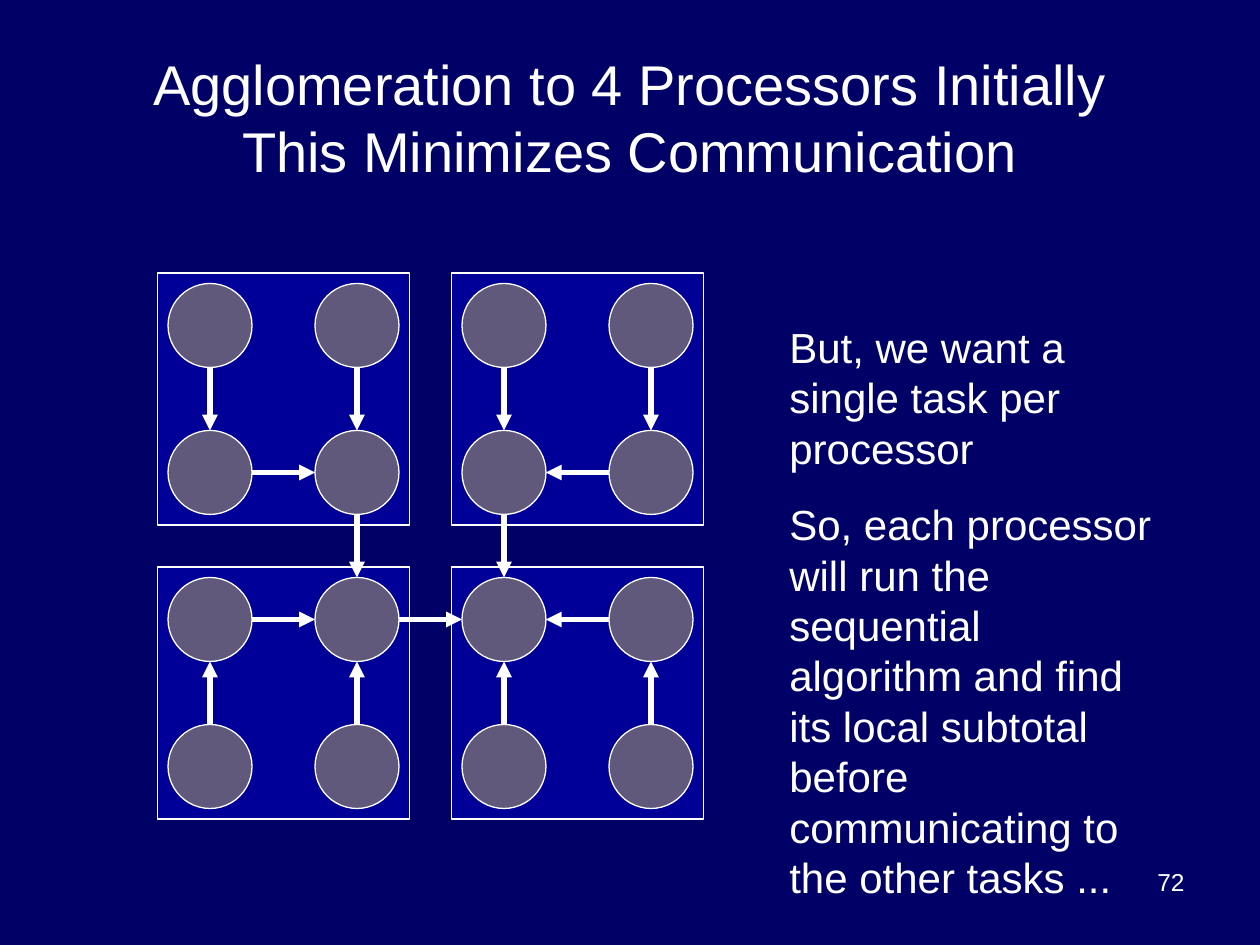
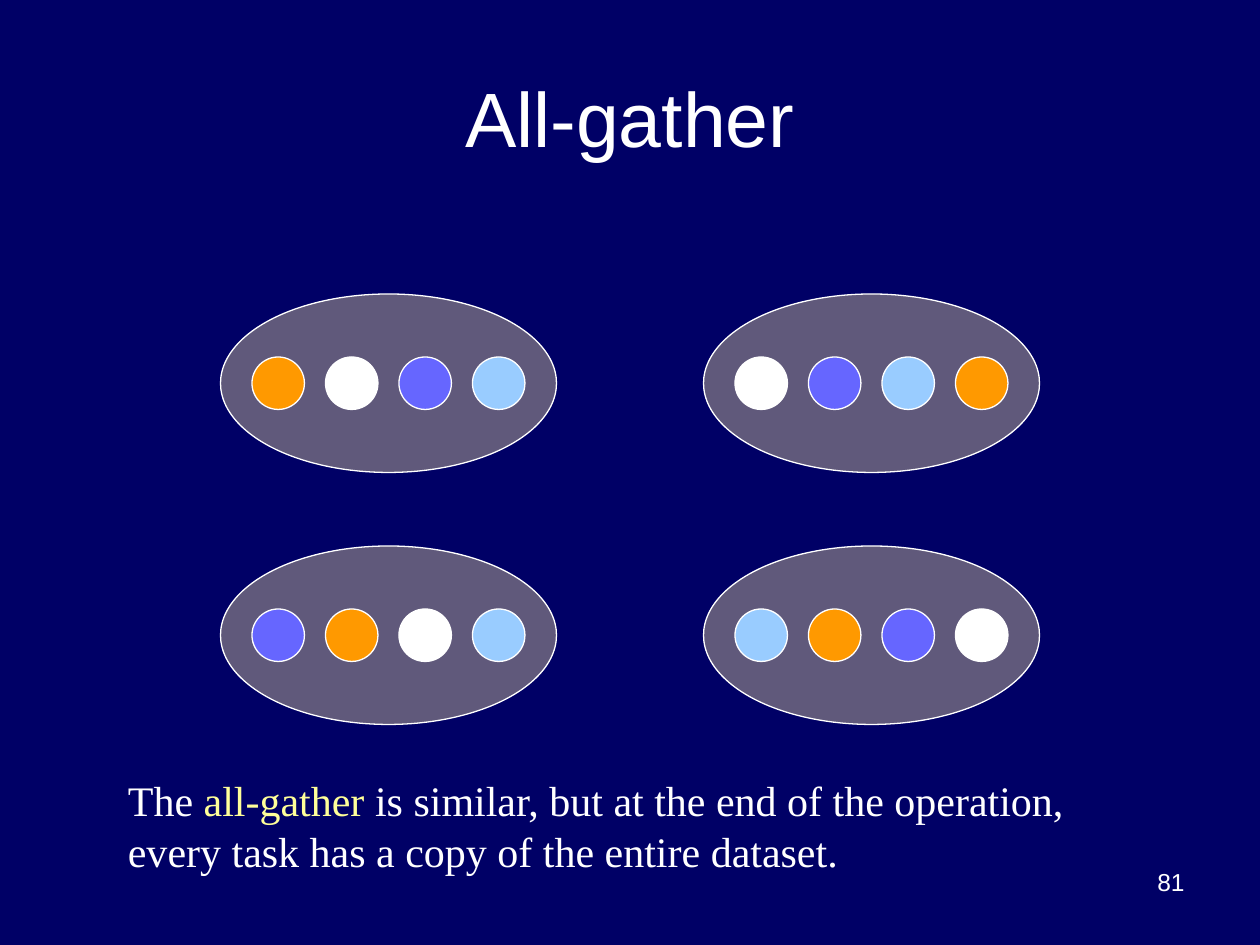
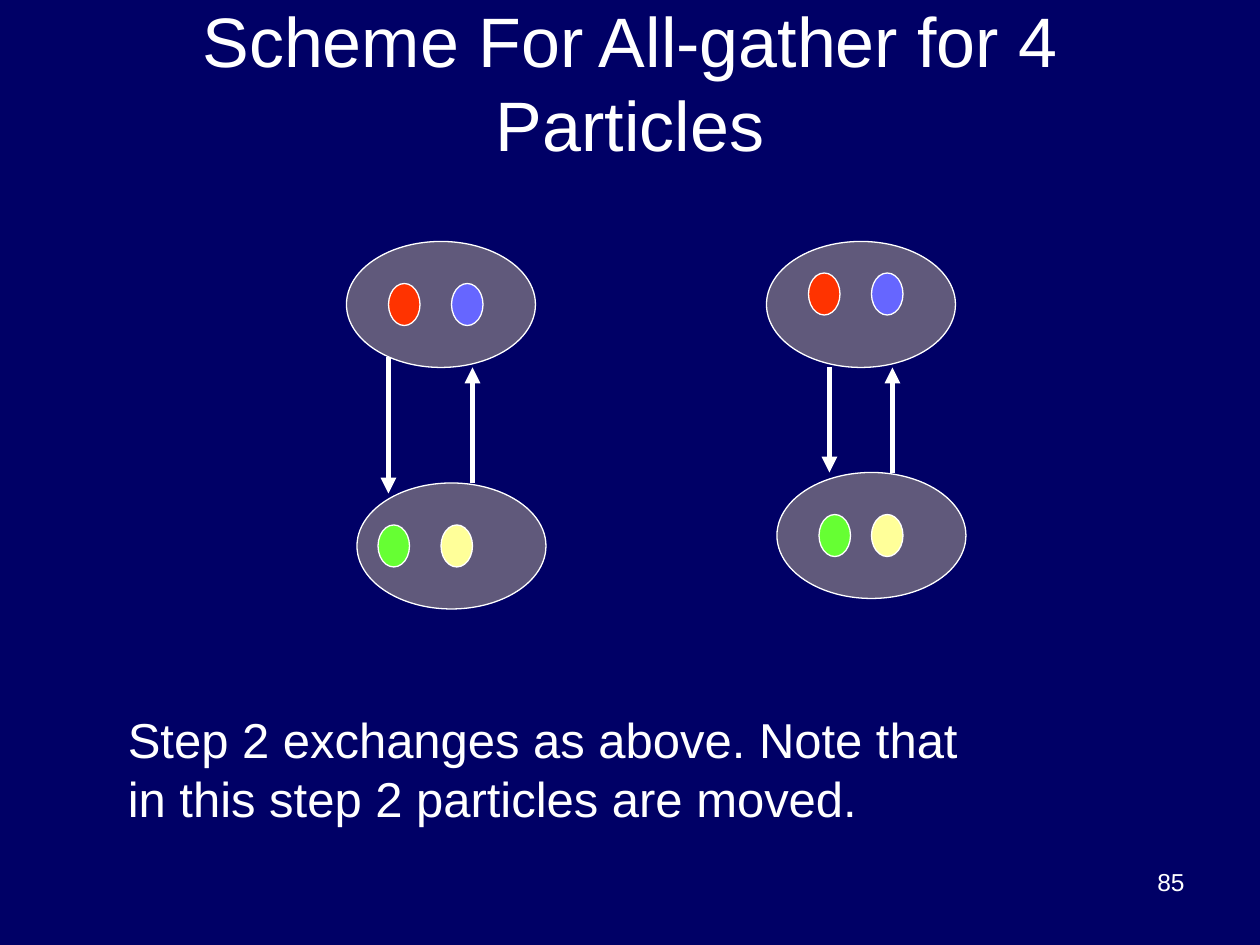
from dataclasses import dataclass
from typing import Any, NamedTuple

from lxml import etree
from pptx import Presentation
from pptx import util as u
from pptx.dml.color import RGBColor
from pptx.enum import shapes, text
from pptx.oxml.ns import qn

NAVY, BLUE, GREY, WHITE = "000066", "000099", "60597B", "FFFFFF"
ORANGE, VIOLET, SKY = "FF9900", "6666FF", "99CCFF"
RED, GREEN, YELLOW = "FF3300", "66FF33", "FFFF99"
OVAL = shapes.MSO_SHAPE.OVAL
RECTANGLE = shapes.MSO_SHAPE.RECTANGLE


class Area(NamedTuple):
    """Left, top, width and height in grid units."""
    left: float
    top: float
    width: float
    height: float


class Span(NamedTuple):
    words: str
    color: str = WHITE


class Arrow(NamedTuple):
    start: tuple[float, float]
    end: tuple[float, float]
    weight: float = 3


@dataclass
class Shape:
    area: Area
    fill: str
    kind: Any = OVAL


@dataclass
class Label:
    area: Area
    paragraphs: list[list[Span]]
    size: float
    font: str = "Arial"
    align: Any = text.PP_ALIGN.LEFT
    anchor: Any = text.MSO_ANCHOR.TOP
    space_before: float = 0


def grid(units: float) -> int:
    """Turn grid units, twelve to the inch, into a length."""
    return u.Cm(units * 2.54 / 12)


def rgb(color: str) -> RGBColor:
    return RGBColor.from_string(color)


def set_all(target: Any, values: dict[str, Any]) -> None:
    for name, value in values.items():
        setattr(target, name, value)


def draw_shape(page: Any, item: Shape) -> None:
    shape = page.shapes.add_shape(item.kind, *map(grid, item.area))
    shape.shadow.inherit = False
    shape.fill.solid()
    shape.fill.fore_color.rgb = rgb(item.fill)
    shape.line.color.rgb = rgb(WHITE)
    shape.line.width = u.Pt(0.75)


def draw_arrow(page: Any, arrow: Arrow) -> None:
    line = page.shapes.add_connector(
        shapes.MSO_CONNECTOR.STRAIGHT, *map(grid, arrow.start + arrow.end))
    line.line.color.rgb = rgb(WHITE)
    line.line.width = u.Pt(arrow.weight)
    etree.SubElement(line.line._get_or_add_ln(), qn("a:tailEnd"), type="triangle")
    etree.SubElement(line._element.spPr, qn("a:effectLst"))


def draw_label(page: Any, label: Label) -> None:
    box = page.shapes.add_textbox(*map(grid, label.area))
    frame = box.text_frame
    set_all(frame, {"word_wrap": True, "vertical_anchor": label.anchor})
    for index, spans in enumerate(label.paragraphs):
        para = frame.add_paragraph() if index else frame.paragraphs[0]
        para.alignment = label.align
        if index:
            para.space_before = u.Pt(label.space_before)
        for span in spans:
            for number, words in enumerate(span.words.split("\n")):
                if number:
                    para.add_line_break()
                run = para.add_run()
                run.text = words
                set_all(run.font, {"name": label.font, "size": u.Pt(label.size)})
                run.font.color.rgb = rgb(span.color)


def add_page(deck: Any, title: str, size: float, number: int,
             title_height: float = 15) -> Any:
    """Add a slide with the shared background, title and page number."""
    page = deck.slides.add_slide(deck.slide_layouts[6])
    page.background.fill.solid()
    page.background.fill.fore_color.rgb = rgb(NAVY)
    draw_label(page, Label(Area(6, 3.6, 108, title_height), [[Span(title)]], size,
                           align=text.PP_ALIGN.CENTER,
                           anchor=text.MSO_ANCHOR.MIDDLE))
    draw_label(page, Label(Area(86, 82, 28, 6.2), [[Span(str(number))]], 14,
                           align=text.PP_ALIGN.RIGHT))
    return page


def task_arrow(source: tuple[int, int], target: tuple[int, int]) -> Arrow:
    """Join the facing edges of two neighbouring tasks, given as column and row."""
    step = [after - before for before, after in zip(source, target)]
    centers = [[20 + 14 * column, 31 + 14 * row] for column, row in (source, target)]
    start = tuple(center + 4 * move for center, move in zip(centers[0], step))
    end = tuple(center - 4 * move for center, move in zip(centers[1], step))
    return Arrow(start, end)


def build_agglomeration(deck: Any) -> None:
    page = add_page(deck, "Agglomeration to 4 Processors Initially\n"
                          "This Minimizes Communication", 32, 72)
    for top in (26, 54):
        for left in (15, 43):
            draw_shape(page, Shape(Area(left, top, 24, 24), BLUE, RECTANGLE))
    for row in range(4):
        for column in range(4):
            area = Area(16 + 14 * column, 27 + 14 * row, 8, 8)
            draw_shape(page, Shape(area, GREY))
    links = [((1, 2), (2, 2))]
    for column in range(4):
        links += [((column, 0), (column, 1)), ((column, 3), (column, 2))]
    for row in (1, 2):
        links += [((0, row), (1, row)), ((3, row), (2, row))]
    for column in (1, 2):
        links.append(((column, 1), (column, 2)))
    for source, target in links:
        draw_arrow(page, task_arrow(source, target))
    draw_label(page, Label(Area(74, 30, 37, 56.5), [
        [Span("But, we want a single task per processor")],
        [Span("So, each processor will run the sequential algorithm and find its "
              "local subtotal before communicating to the other tasks ...")],
    ], 24, space_before=15))


def build_all_gather(deck: Any) -> None:
    page = add_page(deck, "All-gather", 44, 81)
    tasks = {
        (21, 28): (ORANGE, WHITE, VIOLET, SKY),
        (67, 28): (WHITE, VIOLET, SKY, ORANGE),
        (21, 52): (VIOLET, ORANGE, WHITE, SKY),
        (67, 52): (SKY, ORANGE, VIOLET, WHITE),
    }
    for (left, top), colors in tasks.items():
        draw_shape(page, Shape(Area(left, top, 32, 17), GREY))
        for index, color in enumerate(colors):
            draw_shape(page, Shape(Area(left + 3 + 7 * index, top + 6, 5, 5), color))
    draw_label(page, Label(Area(11, 73.2, 99, 10.8), [[
        Span("The "), Span("all-gather", YELLOW),
        Span(" is similar, but at the end of the operation, every task has a copy "
             "of the entire dataset."),
    ]], 24, font="Times New Roman"))


def build_scheme(deck: Any) -> None:
    page = add_page(deck, "Scheme For All-gather for 4 Particles", 40, 85,
                    title_height=8.4)
    tasks = {
        (33, 23): {(37, 27): RED, (43, 27): VIOLET},
        (73, 23): {(77, 26): RED, (83, 26): VIOLET},
        (34, 46): {(36, 50): GREEN, (42, 50): YELLOW},
        (74, 45): {(78, 49): GREEN, (83, 49): YELLOW},
    }
    for corner, particles in tasks.items():
        draw_shape(page, Shape(Area(*corner, 18, 12), GREY))
        for place, color in particles.items():
            draw_shape(page, Shape(Area(*place, 3, 4), color))
    for arrow in (
        Arrow((37, 34), (37, 47)),
        Arrow((45, 46), (45, 35)),
        Arrow((76, 34), (76, 34), 0.75),
        Arrow((79, 35), (79, 45)),
        Arrow((85, 45), (85, 35)),
    ):
        draw_arrow(page, arrow)
    draw_label(page, Label(Area(11, 67, 83, 12.5), [[
        Span("Step 2 exchanges as above. Note that in this step 2 particles "
             "are moved."),
    ]], 28))


def main() -> None:
    deck = Presentation()
    set_all(deck, {"slide_width": u.Cm(25.4), "slide_height": u.Cm(19.05)})
    for build in (build_agglomeration, build_all_gather, build_scheme):
        build(deck)
    deck.save("out.pptx")


if __name__ == "__main__":
    main()
